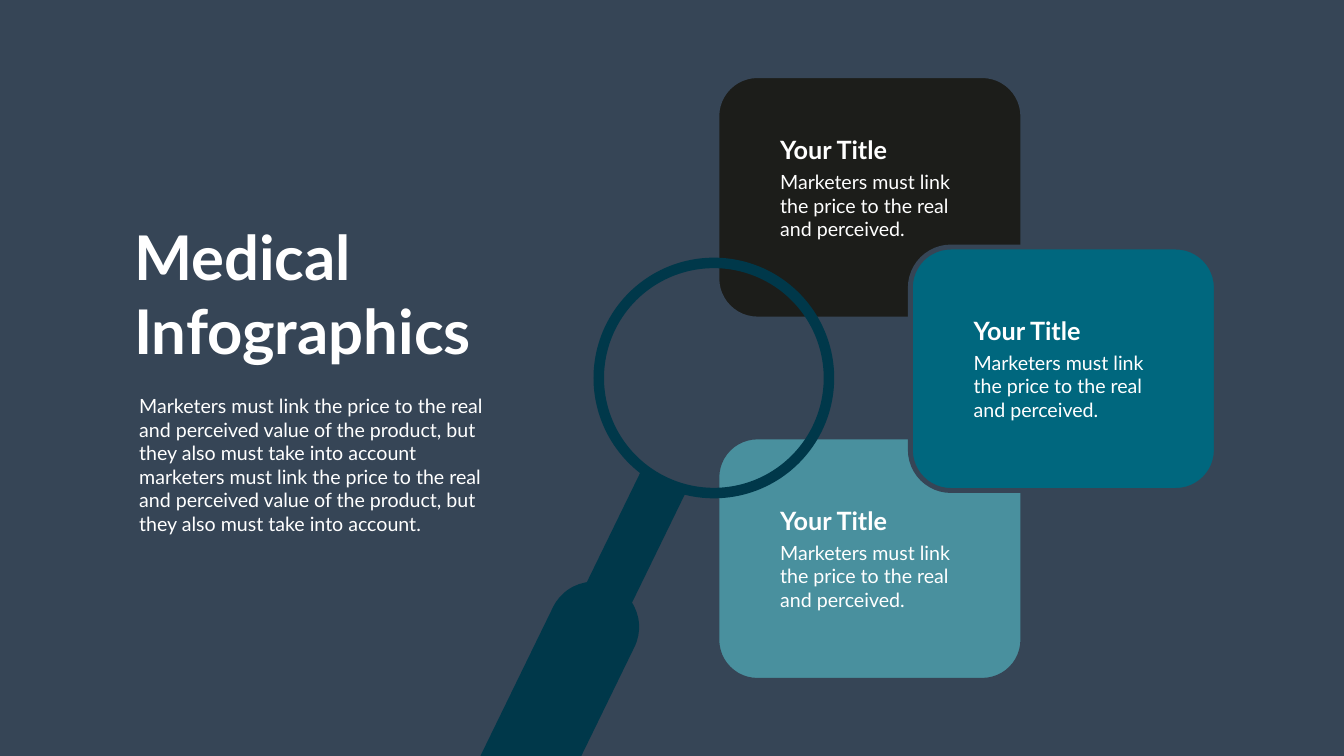
from pptx import Presentation
from pptx.dml.color import RGBColor
from pptx.enum.shapes import MSO_SHAPE
from pptx.enum.text import MSO_ANCHOR, MSO_AUTO_SIZE, PP_ALIGN
from pptx.oxml.ns import qn
from pptx.util import Cm, Pt
from lxml.etree import SubElement

BACKGROUND = "364556"
GLASS = "00384A"
WHITE = "FFFFFF"


def color(value):
    return RGBColor.from_string(value)


def write_text(shape, text, size, bold=False):
    frame = shape.text_frame
    frame.text = text
    frame.word_wrap = True
    frame.auto_size = MSO_AUTO_SIZE.NONE
    frame.vertical_anchor = MSO_ANCHOR.TOP
    paragraph = frame.paragraphs[0]
    paragraph.alignment = PP_ALIGN.LEFT
    paragraph.space_before = Pt(0)
    font = paragraph.runs[0].font
    font.name = "Lato"
    font.size = Pt(size)
    font.bold = bold
    font.color.rgb = color(WHITE)


presentation = Presentation()
presentation.slide_width = Cm(67.72)
presentation.slide_height = Cm(38.1)
slide = presentation.slides.add_slide(presentation.slide_layouts[1])
slide.background.fill.solid()
slide.background.fill.fore_color.rgb = color(BACKGROUND)

# Heading and introduction
title = slide.shapes.title
title.left, title.top, title.width, title.height = Cm(6.5), Cm(10.92), Cm(19.81), Cm(7.77)
write_text(title, "Medical Infographics", 88, bold=True)

body = slide.placeholders[1]
body.left, body.top, body.width, body.height = Cm(6.76), Cm(19.74), Cm(18.62), Cm(7.44)
write_text(
    body,
    "Marketers must link the price to the real and perceived value of the product, "
    "but they also must take into account marketers must link the price to the real "
    "and perceived value of the product, but they also must take into account.",
    28,
)
properties = body.text_frame.paragraphs[0]._p.get_or_add_pPr()
properties.set("marL", "0")
properties.set("indent", "0")
SubElement(properties, qn("a:buNone"))

# Cards: left, top, fill, distance from card top to its heading
cards = [
    (36.12, 3.81, "1C1D1A", 2.84),
    (36.12, 22.02, "49909E", 3.3),
    (45.87, 12.45, "00677E", 3.3),
]
for left, top, fill, _ in cards:
    card = slide.shapes.add_shape(
        MSO_SHAPE.ROUNDED_RECTANGLE, Cm(left), Cm(top), Cm(15.42), Cm(12.27))
    card.shadow.inherit = False
    card.fill.solid()
    card.fill.fore_color.rgb = color(fill)
    card.line.color.rgb = color(BACKGROUND)
    card.line.width = Pt(7)

# Magnifying glass: lens ring, then neck and grip on the same slant
lens = slide.shapes.add_shape(MSO_SHAPE.OVAL, Cm(30.17), Cm(13.25), Cm(11.6), Cm(11.6))
lens.shadow.inherit = False
lens.fill.background()
lens.line.color.rgb = color(GLASS)
lens.line.width = Pt(15)

handle_parts = [
    (MSO_SHAPE.RECTANGLE, 32.02, 27.17, 2.5, 6.55),
    (MSO_SHAPE.ROUNDED_RECTANGLE, 26.5, 38.61, 4.57, 20.17),
]
for kind, center_x, center_y, width, height in handle_parts:
    part = slide.shapes.add_shape(
        kind, Cm(center_x - width / 2), Cm(center_y - height / 2), Cm(width), Cm(height))
    part.shadow.inherit = False
    part.rotation = 26
    part.fill.solid()
    part.fill.fore_color.rgb = color(GLASS)
    part.line.fill.background()
    if kind == MSO_SHAPE.ROUNDED_RECTANGLE:
        part.adjustments[0] = 0.5

# Card texts
for left, top, _, offset in cards:
    text_left, text_top = left + 2.94, top + offset
    heading = slide.shapes.add_textbox(Cm(text_left), Cm(text_top), Cm(9.53), Cm(1.8))
    write_text(heading, "Your Title", 36, bold=True)
    description = slide.shapes.add_textbox(
        Cm(text_left), Cm(text_top + 1.8), Cm(9.53), Cm(3.84))
    write_text(description, "Marketers must link the price to the real and perceived.", 28)

presentation.save("out.pptx")
